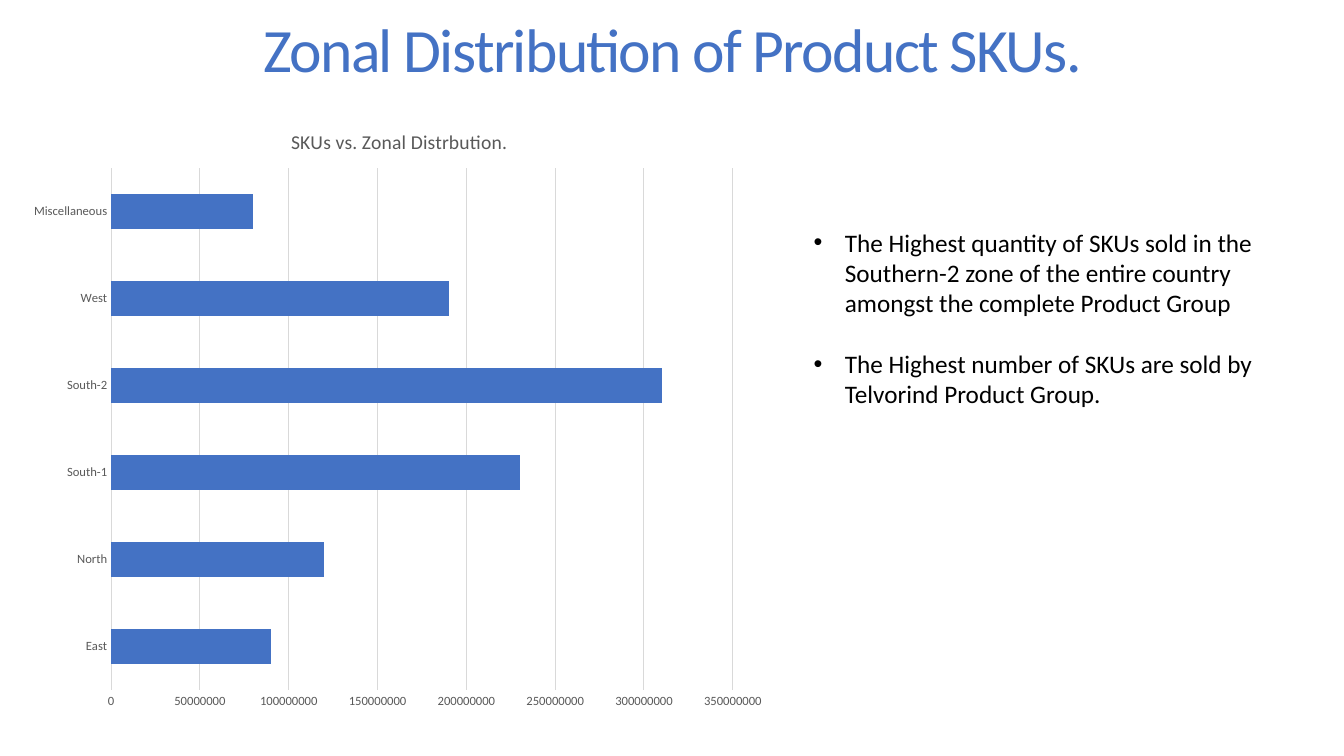
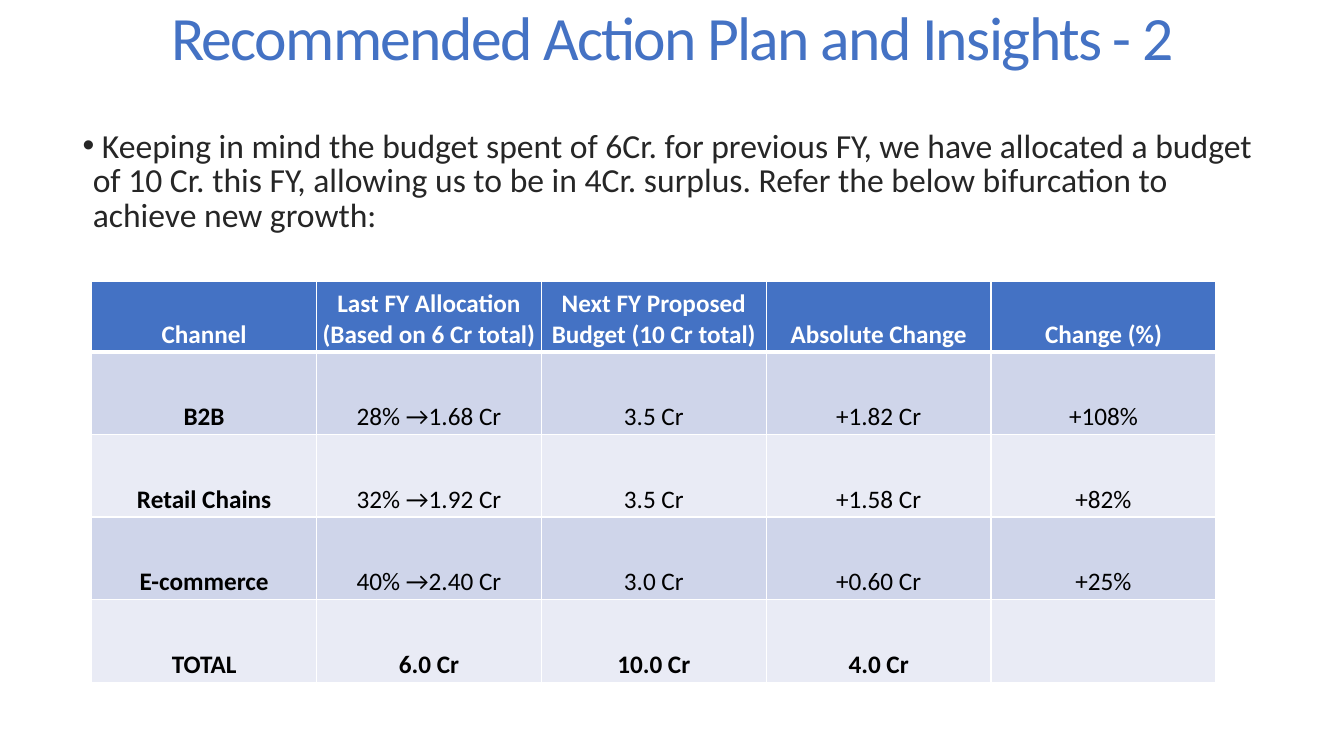
"""Build two sales slides: a zonal bar chart and a budget table."""
from dataclasses import dataclass

from lxml import etree
from pptx import Presentation
from pptx.chart.data import CategoryChartData
from pptx.dml.color import RGBColor
from pptx.enum.chart import XL_CHART_TYPE, XL_TICK_MARK
from pptx.enum.text import MSO_ANCHOR, MSO_AUTO_SIZE, PP_ALIGN
from pptx.oxml.ns import qn
from pptx.util import Inches, Pt

BAR = XL_CHART_TYPE.BAR_STACKED
NONE = XL_TICK_MARK.NONE
TOP, MIDDLE, BOTTOM = MSO_ANCHOR.TOP, MSO_ANCHOR.MIDDLE, MSO_ANCHOR.BOTTOM
FIXED = MSO_AUTO_SIZE.NONE
CENTER, LEFT = PP_ALIGN.CENTER, PP_ALIGN.LEFT


@dataclass(frozen=True)
class Theme:
    font: str = "Calibri"
    blue: str = "4472C4"
    black: str = "000000"
    white: str = "FFFFFF"
    ink: str = "262626"
    gray: str = "595959"
    grid: str = "D9D9D9"
    bands: tuple = ("E9EBF5", "CFD5EA")
    head: int = 44
    lead: int = 24
    text: int = 18
    label: int = 14
    tick: int = 9


theme = Theme()


def style(font, size, color, bold=False):
    font.name, font.size, font.bold = theme.font, Pt(size), bold
    font.color.rgb = RGBColor.from_string(color)


def place(shape, box, anchor):
    shape.left, shape.top, shape.width, shape.height = map(Inches, box)
    frame = shape.text_frame
    frame.word_wrap, frame.auto_size = True, FIXED
    frame.vertical_anchor = anchor
    return frame


deck = Presentation()
deck.slide_width, deck.slide_height = Inches(13.33), Inches(7.5)

pages = [
    {
        "title": "Zonal Distribution of Product SKUs.",
        "head": (0.92, 0, 11.5, 1.06),
        "body": (7.97, 2.2, 4.95, 1.92),
        "items": [
            "The Highest quantity of SKUs sold in the Southern-2 zone of the "
            "entire country amongst the complete Product Group",
            "The Highest number of SKUs are sold by Telvorind Product Group.",
        ],
        "size": theme.text, "color": theme.black,
        "indent": 0.31, "line": 1, "before": 0, "after": 22,
    },
    {
        "title": "Recommended Action Plan and Insights - 2",
        "head": (0.78, 0.02, 11.78, 0.78),
        "body": (0.72, 1.25, 12.03, 5.83),
        "items": [
            " Keeping in mind the budget spent of 6Cr. for previous FY, we "
            "have allocated a budget of 10 Cr. this FY, allowing us to be in "
            "4Cr. surplus. Refer the below bifurcation to achieve new growth:",
        ],
        "size": theme.lead, "color": theme.ink,
        "indent": 0.1, "line": 0.85, "before": 13, "after": 0,
    },
]

slides = []
for page in pages:
    slide = deck.slides.add_slide(deck.slide_layouts[1])
    slides.append(slide)
    frame = place(slide.shapes.title, page["head"], MIDDLE)
    frame.text = page["title"]
    para = frame.paragraphs[0]
    para.alignment, para.line_spacing = CENTER, 0.85
    style(para.font, theme.head, theme.blue)
    para.runs[0]._r.get_or_add_rPr().set("spc", "-120")

    frame = place(slide.placeholders[1], page["body"], TOP)
    frame.text = "\n".join(page["items"])
    for para in frame.paragraphs:
        para.alignment, para.line_spacing = LEFT, page["line"]
        para.space_before, para.space_after = Pt(page["before"]), Pt(page["after"])
        props = para._p.get_or_add_pPr()
        indent = Inches(page["indent"])
        props.set("marL", str(indent))
        props.set("indent", str(-indent))
        etree.SubElement(props, qn("a:buFont")).set("typeface", "Arial")
        etree.SubElement(props, qn("a:buChar")).set("char", "•")
        style(para.font, page["size"], page["color"])

zones = {
    "East": 90000000,
    "North": 120000000,
    "South-1": 230000000,
    "South-2": 310000000,
    "West": 190000000,
    "Miscellaneous": 80000000,
}
data = CategoryChartData()
data.categories = list(zones)
data.add_series("Series 1", list(zones.values()))
box = map(Inches, (0.2, 1.06, 7.52, 6.09))
chart = slides[0].shapes.add_chart(BAR, *box, data).chart
chart.has_legend = False
chart.has_title = True
chart.chart_title.include_in_layout = False
frame = chart.chart_title.text_frame
frame.text = "SKUs vs. Zonal Distrbution."
style(frame.paragraphs[0].font, theme.label, theme.gray)

plot = chart.plots[0]
plot.gap_width, plot.overlap, plot.vary_by_categories = 150, 100, False
fill = plot.series[0].format.fill
fill.solid()
fill.fore_color.rgb = RGBColor.from_string(theme.blue)

zone, value = chart.category_axis, chart.value_axis
for axis in (zone, value):
    axis.major_tick_mark = axis.minor_tick_mark = NONE
    style(axis.tick_labels.font, theme.tick, theme.gray)
zone.has_major_gridlines = False
value.has_major_gridlines = True
for line in (zone.format.line, value.major_gridlines.format.line):
    line.width = Pt(0.75)
    line.color.rgb = RGBColor.from_string(theme.grid)
value.format.line.fill.background()
value.minimum_scale, value.maximum_scale, value.major_unit = 0, 350000000, 50000000
value.tick_labels.number_format = "0"
value.tick_labels.number_format_is_linked = False

area = chart.element.find(".//" + qn("c:plotArea"))
for old in area.findall(qn("c:layout")):
    area.remove(old)
layout = etree.Element(qn("c:layout"))
area.insert(0, layout)
manual = etree.SubElement(layout, qn("c:manualLayout"))
for tag, val in (("layoutTarget", "inner"), ("xMode", "edge"), ("yMode", "edge"),
                 ("x", 0.12), ("y", 0.1), ("w", 0.82), ("h", 0.85)):
    etree.SubElement(manual, qn("c:" + tag)).set("val", str(val))

rows = [
    ("Channel", "Last FY Allocation (Based on 6 Cr total)",
     "Next FY Proposed Budget (10 Cr total)", "Absolute Change", "Change (%)"),
    ("B2B", "28% →1.68 Cr", "3.5 Cr", "+1.82 Cr", "+108%"),
    ("Retail Chains", "32% →1.92 Cr", "3.5 Cr", "+1.58 Cr", "+82%"),
    ("E-commerce", "40% →2.40 Cr", "3.0 Cr", "+0.60 Cr", "+25%"),
    ("TOTAL", "6.0 Cr", "10.0 Cr", "4.0 Cr", ""),
]
last = len(rows) - 1
box = map(Inches, (0.91, 2.79, 11.15, 3.98))
table = slides[1].shapes.add_table(len(rows), len(rows[0]), *box).table
for col in table.columns:
    col.width = Inches(2.23)
for r, row in enumerate(rows):
    table.rows[r].height = Inches(0.82 if r else 0.7)
    for c, text in enumerate(row):
        cell = table.cell(r, c)
        cell.vertical_anchor = BOTTOM
        cell.margin_left = cell.margin_right = Inches(0.03)
        cell.margin_top = cell.margin_bottom = Inches(0.02)
        props = cell._tc.get_or_add_tcPr()
        for side in "LRTB":
            thick = (r, side) in ((0, "B"), (1, "T"))
            edge = etree.SubElement(props, qn("a:ln" + side))
            edge.set("w", str(Pt(3 if thick else 1)))
            paint = etree.SubElement(edge, qn("a:solidFill"))
            etree.SubElement(paint, qn("a:srgbClr")).set("val", theme.white)
        cell.fill.solid()
        shade = theme.bands[r % 2] if r else theme.blue
        cell.fill.fore_color.rgb = RGBColor.from_string(shade)
        cell.text = text
        para = cell.text_frame.paragraphs[0]
        para.alignment = CENTER
        style(para.font, theme.text, theme.black if r else theme.white,
              r in (0, last) or c == 0)

deck.save("out.pptx")
